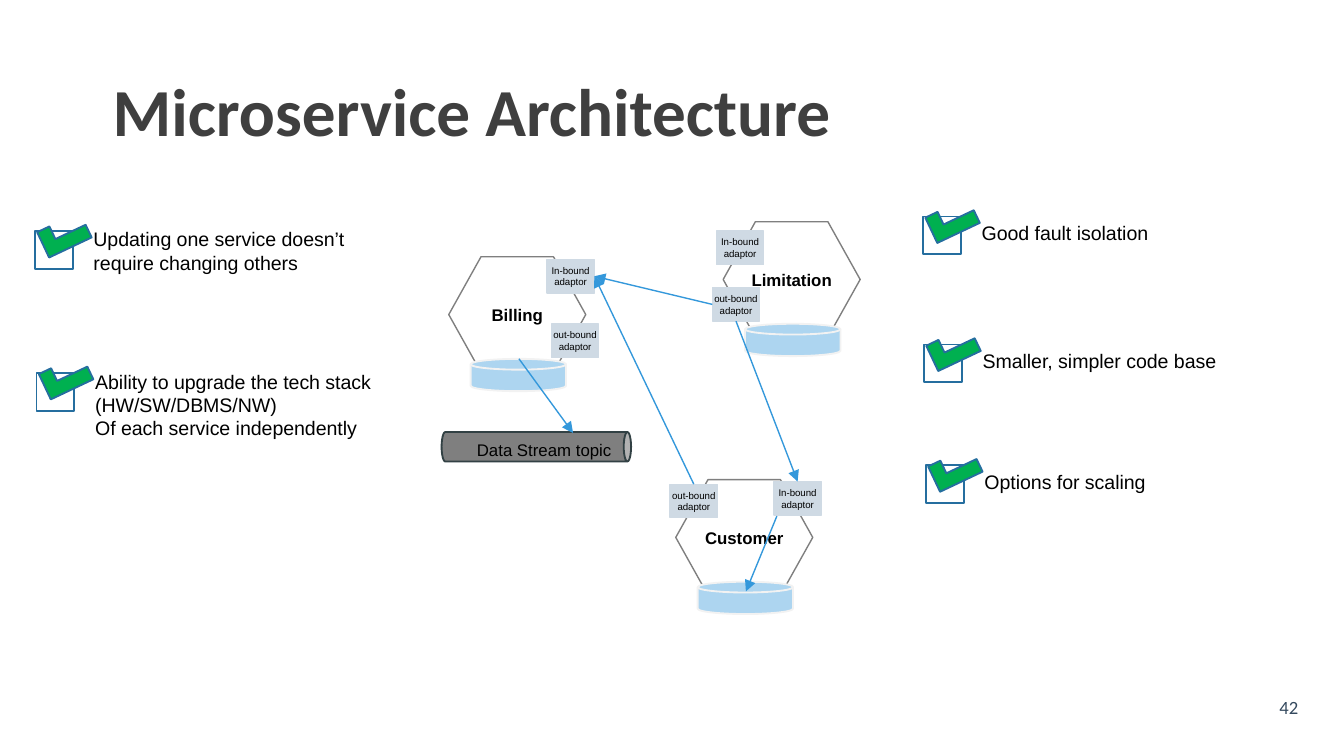
from lxml.etree import SubElement
from pptx import Presentation
from pptx.dml.color import RGBColor
from pptx.enum.shapes import MSO_CONNECTOR, MSO_SHAPE as SHAPE
from pptx.enum.text import MSO_ANCHOR as ANCHOR, PP_ALIGN as ALIGN
from pptx.oxml.ns import qn
from pptx.util import Pt

COLORS = {
    "title": "3F3F3F", "text": "000000", "page": "34495E",
    "white": "FFFFFF", "gray": "7F7F7F", "can_line": "324144",
    "disk": "ADD5F0", "disk_line": "F2F2F2", "adaptor": "CFDAE4",
    "arrow": "3498DB", "box_line": "256E9F", "tick": "00B050",
}

TITLE = "Microservice Architecture"
PAGE = "42"
TOPIC = "Data Stream topic"

# name, hexagon left and top, then adaptor offsets from that corner
SERVICES = [
    ("Limitation", 387.4, 118.8, {"In-bound": (-3.6, 5), "out-bound": (-5.8, 35.3)}),
    ("Customer", 362, 257, {"In-bound": (52.6, 1), "out-bound": (-3, 2.4)}),
    ("Billing", 240.4, 137.6, {"In-bound": (52.6, 1.4), "out-bound": (55, 36)}),
]
HEXAGON = (73.4, 61.9)
DISK = (51.1, 17.3)
DISK_TOP = 54.7
ADAPTOR = (25.4, 18)

# (service, adaptor, side) at each end
CALLS = [
    (("Customer", "out-bound", 0), ("Billing", "In-bound", 3)),
    (("Limitation", "out-bound", 1), ("Billing", "In-bound", 3)),
    (("Limitation", "out-bound", 2), ("Customer", "In-bound", 0)),
]
DATA_FLOWS = [(278, 192.2, 307, 232), (416.2, 276.5, 399.6, 316.8)]

# checkbox left and top, text rise above the box, text
BENEFITS = [
    (18.7, 123.8, 5.6, "Updating one service doesn’t require changing others"),
    (19.6, 199.8, 5.4, "Ability to upgrade the tech stack\n(HW/SW/DBMS/NW)\n"
                       "Of each service independently"),
    (494.5, 116, 1, "Good fault isolation"),
    (495, 184.6, 1, "Smaller, simpler code base"),
    (496, 249.3, 1, "Options for scaling"),
]
CHECKBOX = 20.3


def rgb(name):
    return RGBColor.from_string(COLORS[name])


def write(sp, text, size, color="text", font="Arial", bold=False, align=ALIGN.LEFT,
          anchor=ANCHOR.TOP, margins=(7.2, 3.6), spacing=None):
    tf = sp.text_frame
    tf.word_wrap = True
    tf.vertical_anchor = anchor
    tf.margin_left = tf.margin_right = Pt(margins[0])
    tf.margin_top = tf.margin_bottom = Pt(margins[1])
    for i, line in enumerate(text.split("\n")):
        p = tf.add_paragraph() if i else tf.paragraphs[0]
        p.alignment = align
        if spacing:
            p.line_spacing = spacing
        r = p.add_run()
        r.text = line
        r.font.name, r.font.size, r.font.bold = font, Pt(size), bold
        r.font.color.rgb = rgb(color)


def add_text(s, x, y, w, h, text, size, **fmt):
    write(s.shapes.add_textbox(Pt(x), Pt(y), Pt(w), Pt(h)), text, size, **fmt)


def add_shape(s, kind, x, y, w, h, fill, line, weight=1, adjust=(), rotation=0):
    sp = s.shapes.add_shape(kind, Pt(x), Pt(y), Pt(w), Pt(h))
    sp.shadow.inherit = False
    if fill:
        sp.fill.solid()
        sp.fill.fore_color.rgb = rgb(fill)
    else:
        sp.fill.background()
    sp.line.color.rgb = rgb(line)
    sp.line.width = Pt(weight)
    for i, value in enumerate(adjust):
        sp.adjustments[i] = value
    sp.rotation = rotation
    return sp


def add_arrow(s, x1=0, y1=0, x2=0, y2=0):
    c = s.shapes.add_connector(MSO_CONNECTOR.STRAIGHT, Pt(x1), Pt(y1), Pt(x2), Pt(y2))
    c.line.color.rgb = rgb("arrow")
    c.line.width = Pt(0.75)
    SubElement(c.line._get_or_add_ln(), qn("a:tailEnd"), type="triangle")
    SubElement(c._element.spPr, qn("a:effectLst"))
    return c


def add_service(s, name, x, y, offsets):
    """Draw one service and return its adaptors by (service, adaptor)."""
    w, h = HEXAGON
    hexagon = add_shape(s, SHAPE.HEXAGON, x, y, w, h, "white", "gray", 0.75, [0.279])
    write(hexagon, name, 9, bold=True, align=ALIGN.CENTER, anchor=ANCHOR.MIDDLE,
          margins=(0, 3.6))
    add_shape(s, SHAPE.FLOWCHART_MAGNETIC_DISK, x + (w - DISK[0]) / 2 + 0.6,
              y + DISK_TOP, *DISK, "disk", "disk_line")
    adaptors = {}
    for kind, (dx, dy) in offsets.items():
        sp = add_shape(s, SHAPE.RECTANGLE, x + dx, y + dy, *ADAPTOR,
                       "adaptor", "adaptor", 0.75)
        write(sp, f"{kind}\nadaptor", 5.2, align=ALIGN.CENTER,
              anchor=ANCHOR.MIDDLE, margins=(0, 0))
        adaptors[name, kind] = sp
    return adaptors


def add_benefit(s, x, y, rise, text):
    add_text(s, x + 24.3, y - rise, 176.4, 20, text, 10.5)
    add_shape(s, SHAPE.RECTANGLE, x, y, CHECKBOX, CHECKBOX, None, "box_line")
    add_shape(s, SHAPE.CORNER, x + 3.2, y - 5.5, 25.2, 15, "tick", "box_line",
              adjust=[0.5, 0.487], rotation=334.7)


def main():
    prs = Presentation()
    prs.slide_width, prs.slide_height = Pt(720), Pt(405)
    s = prs.slides.add_slide(prs.slide_layouts[6])

    add_text(s, 53.3, 33.1, 617, 51.1, TITLE, 36, color="title", font="Calibri",
             bold=True, anchor=ANCHOR.MIDDLE)
    add_text(s, 670.3, 375.1, 40.3, 18.7, PAGE, 10, color="page", font="Calibri",
             align=ALIGN.CENTER, margins=(10.8, 5), spacing=0.5)

    adaptors = {}
    for service in SERVICES:
        adaptors.update(add_service(s, *service))

    add_shape(s, SHAPE.CAN, 279.4, 188.6, 15.8, 101.5, "gray", "can_line",
              adjust=[0.25], rotation=90)
    add_text(s, 248.4, 231.8, 116, 18, TOPIC, 9)

    for (*source, out_side), (*target, in_side) in CALLS:
        c = add_arrow(s)
        c.begin_connect(adaptors[tuple(source)], out_side)
        c.end_connect(adaptors[tuple(target)], in_side)
    for flow in DATA_FLOWS:
        add_arrow(s, *flow)

    for benefit in BENEFITS:
        add_benefit(s, *benefit)

    prs.save("out.pptx")


if __name__ == "__main__":
    main()
